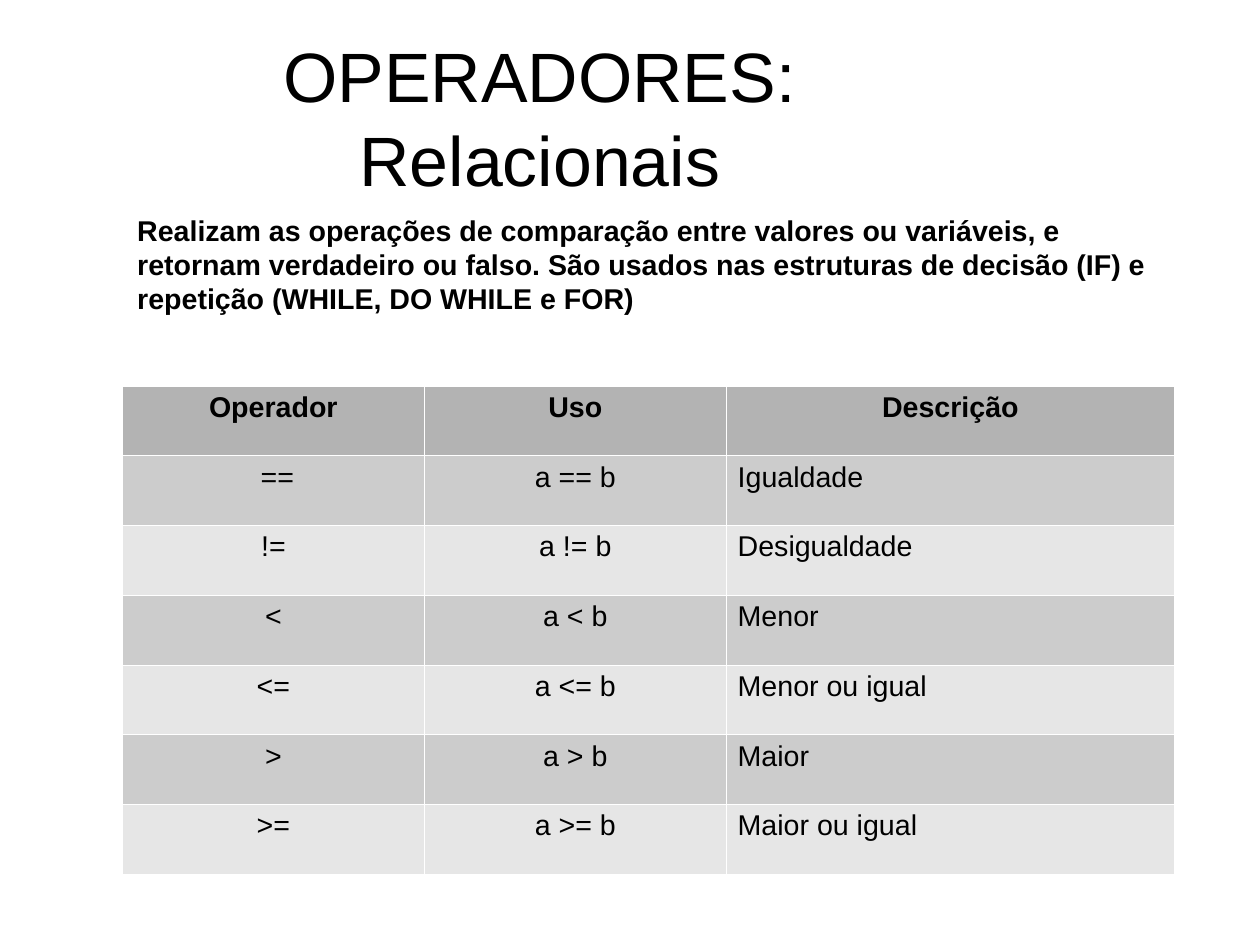
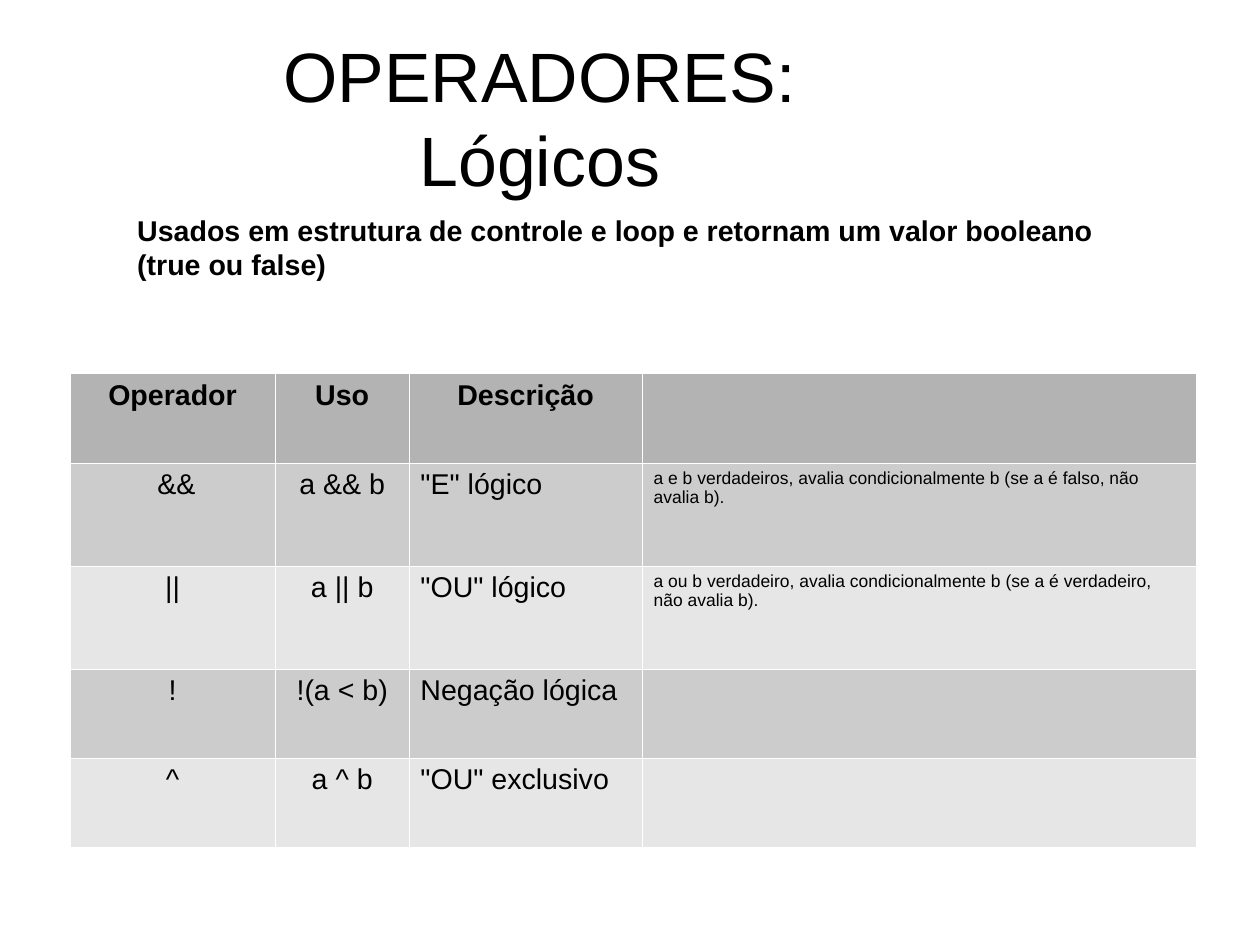
import pptx
import pptx.util
import pptx.dml.color
import pptx.enum.text
import pptx.oxml
import pptx.oxml.ns
from lxml import etree

Cm, Pt = pptx.util.Cm, pptx.util.Pt
ALIGN = pptx.enum.text.PP_ALIGN
ANCHOR = pptx.enum.text.MSO_ANCHOR

# Content: Operador and Uso are centred, the remaining columns are left-aligned
SLIDES = [
    {
        "title": ["OPERADORES:", "Relacionais"],
        "summary": "Realizam as operações de comparação entre valores ou variáveis, e "
                   "retornam verdadeiro ou falso. São usados nas estruturas de decisão (IF) e "
                   "repetição (WHILE, DO WHILE e FOR)",
        "origin": (2.72, 8.57),
        "columns": [6.71, 6.71, 9.96],
        "heights": [1.55] * 7,
        "rows": [
            ("Operador", "Uso", "Descrição"),
            (" ==", "a == b", "Igualdade"),
            ("!=", "a != b", "Desigualdade"),
            ("<", "a < b", "Menor"),
            ("<=", "a <= b", "Menor ou igual"),
            (">", "a > b", "Maior"),
            (">=", "a >= b", "Maior ou igual"),
        ],
    },
    {
        "title": ["OPERADORES:", "Lógicos"],
        "summary": "Usados em estrutura de controle e loop e retornam um valor booleano "
                   "(true ou false)",
        "origin": (1.55, 8.3),
        "columns": [4.57, 2.97, 5.18, 12.32],
        "heights": [1.98, 2.29, 2.29, 1.98, 1.98],
        "rows": [
            ("Operador", "Uso", "Descrição", ""),
            (" &&", "a && b", '"E" lógico',
             "a e b verdadeiros, avalia condicionalmente b (se a é falso, não avalia b)."),
            ("||", "a || b", '"OU" lógico',
             "a ou b verdadeiro, avalia condicionalmente b (se a é verdadeiro, não avalia b)."),
            ("!", "!(a < b)", "Negação lógica", ""),
            ("^", "a ^ b", '"OU" exclusivo', ""),
        ],
    },
]

# Shared style
COLORS = {"text": "000000", "header": "B3B3B3", "odd": "CCCCCC", "even": "E6E6E6",
          "border": "FFFFFF"}
FONT = "Arial"
TITLE_SIZE, BODY_SIZE, NOTE_SIZE = 44, 18, 11
NOTE_COLUMN = 3
BORDER_WIDTH = Pt(0.06)


def rgb(name):
    return pptx.dml.color.RGBColor.from_string(COLORS[name])


def add_run(paragraph, text, size, bold=False):
    run = paragraph.add_run()
    run.text = text
    run.font.name = FONT
    run.font.size = Pt(size)
    run.font.bold = bold
    run.font.color.rgb = rgb("text")


def add_text_frame(slide, left, top, width, height):
    box = slide.shapes.add_textbox(Cm(left), Cm(top), Cm(width), Cm(height))
    box.text_frame.word_wrap = True
    return box.text_frame


def add_title(slide, lines):
    frame = add_text_frame(slide, 1.4, 0.84, 21.2, 3.5)
    frame.margin_left = frame.margin_right = frame.margin_top = frame.margin_bottom = 0
    frame.vertical_anchor = ANCHOR.MIDDLE
    paragraph = frame.paragraphs[0]
    paragraph.alignment = ALIGN.CENTER
    for index, line in enumerate(lines):
        if index:
            paragraph.add_line_break()
        add_run(paragraph, line, TITLE_SIZE)


def add_summary(slide, text):
    frame = add_text_frame(slide, 2.8, 4.6, 23, 2.4)
    add_run(frame.paragraphs[0], text, BODY_SIZE, bold=True)


def set_borders(cell):
    properties = cell._tc.get_or_add_tcPr()
    for position, side in enumerate(("lnL", "lnR", "lnT", "lnB")):
        line = pptx.oxml.parse_xml(
            f'<a:{side} {pptx.oxml.ns.nsdecls("a")} w="{BORDER_WIDTH}"><a:solidFill>'
            f'<a:srgbClr val="{COLORS["border"]}"/></a:solidFill></a:{side}>')
        properties.insert(position, line)


def add_operator_table(slide, content):
    rows, columns, heights = content["rows"], content["columns"], content["heights"]
    left, top = content["origin"]
    table = slide.shapes.add_table(len(rows), len(columns), Cm(left), Cm(top),
                                   Cm(sum(columns)), Cm(sum(heights))).table
    for column, width in zip(table.columns, columns):
        column.width = Cm(width)
    for row_index, texts in enumerate(rows):
        table.rows[row_index].height = Cm(heights[row_index])
        is_header = row_index == 0
        fill = "header" if is_header else ("even", "odd")[row_index % 2]
        for column_index, text in enumerate(texts):
            cell = table.cell(row_index, column_index)
            cell.fill.solid()
            cell.fill.fore_color.rgb = rgb(fill)
            set_borders(cell)
            if text:
                paragraph = cell.text_frame.paragraphs[0]
                centred = is_header or column_index < 2
                paragraph.alignment = ALIGN.CENTER if centred else ALIGN.LEFT
                size = NOTE_SIZE if column_index == NOTE_COLUMN else BODY_SIZE
                add_run(paragraph, text, size, bold=is_header)


def main():
    presentation = pptx.Presentation()
    presentation.slide_width, presentation.slide_height = Cm(28), Cm(21)
    for content in SLIDES:
        slide = presentation.slides.add_slide(presentation.slide_layouts[6])
        add_title(slide, content["title"])
        add_summary(slide, content["summary"])
        add_operator_table(slide, content)
    presentation.save("out.pptx")


if __name__ == "__main__":
    main()
